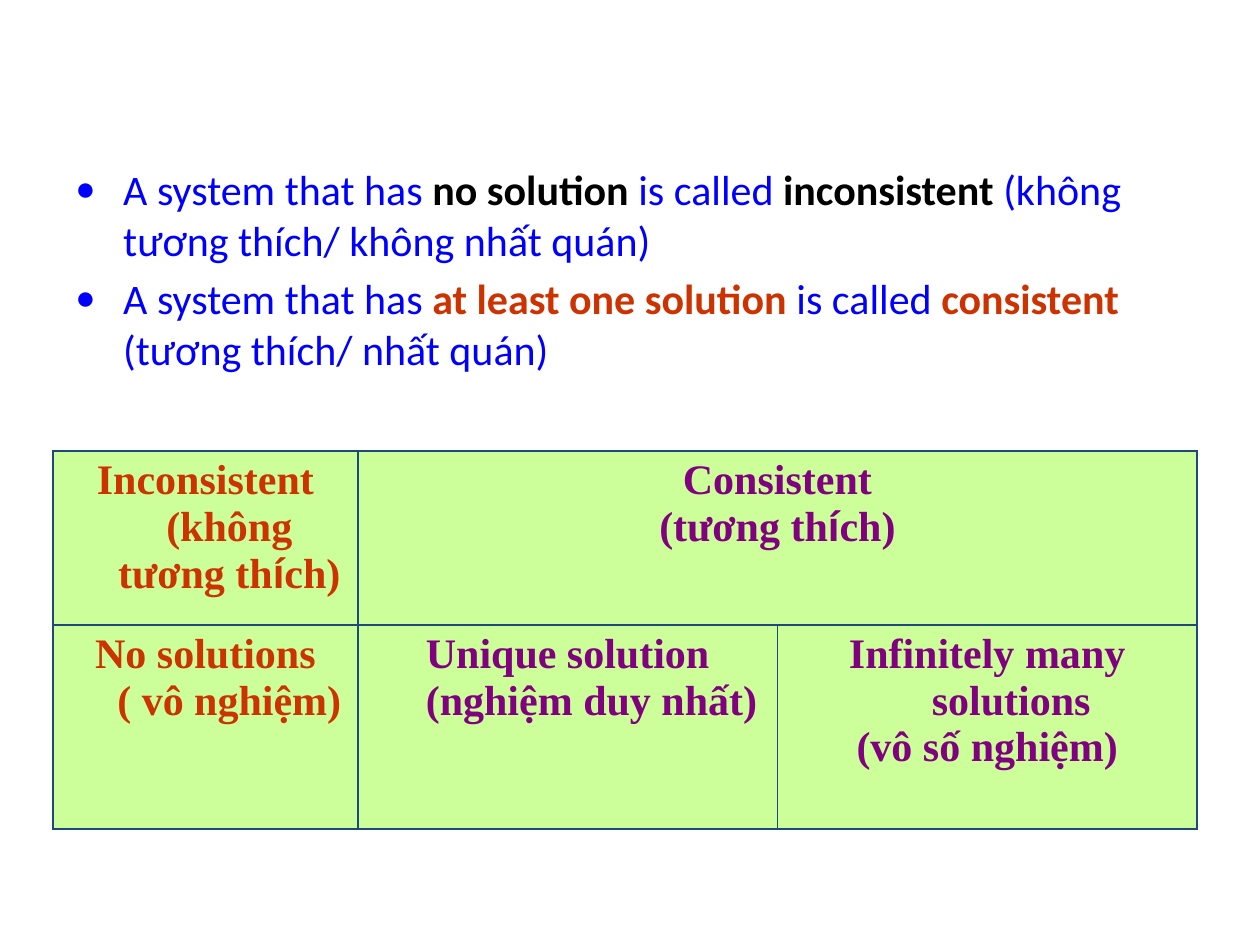
import lxml.etree
import pptx
import pptx.dml.color
import pptx.enum.text
import pptx.oxml.ns
import pptx.util

RGBColor = pptx.dml.color.RGBColor
Inches = pptx.util.Inches
Pt = pptx.util.Pt
qn = pptx.oxml.ns.qn

BLUE = RGBColor(0x00, 0x00, 0xFF)
BLACK = RGBColor(0x00, 0x00, 0x00)
RED = RGBColor(0xCC, 0x33, 0x00)
PURPLE = RGBColor(0x80, 0x00, 0x80)
GREEN = RGBColor(0xCC, 0xFF, 0x99)
NAVY = RGBColor(0x1F, 0x49, 0x7D)

DEFINITIONS = [
    (BLACK, ["A system that has ", "no solution", " is called ", "inconsistent",
             " (không tương thích/ không nhất quán)"]),
    (RED, ["A system that has ", "at least one solution", " is called ", "consistent",
           " (tương thích/ nhất quán)"]),
]
OUTCOMES = [
    [(RED, ["Inconsistent (không tương thích)"]),
     (PURPLE, ["Consistent", "(tương thích)"])],
    [(RED, ["No solutions\v( vô nghiệm)"]),
     (PURPLE, ["Unique solution (nghiệm duy nhất)"]),
     (PURPLE, ["Infinitely many solutions", "(vô số nghiệm)"])],
]
COLUMN_WIDTHS = [2.42, 3.33, 3.33]
ROW_HEIGHTS = [1.38, 1.62]
HANGING = Inches(0.38)


def add_piece(paragraph, text, font_name, color, bold):
    first, *rest = text.split("\v")
    pieces = [first]
    for line in rest:
        pieces += [None, line]
    for piece in pieces:
        if piece is None:
            paragraph.add_line_break()
            continue
        run = paragraph.add_run()
        run.text = piece
        run.font.name = font_name
        run.font.size = Pt(24)
        run.font.bold = bold
        run.font.color.rgb = color


def hang(paragraph):
    properties = paragraph._p.get_or_add_pPr()
    properties.set("marL", str(HANGING))
    properties.set("indent", str(-HANGING))
    return properties


def paragraphs_for(frame, count):
    return [frame.paragraphs[0]] + [frame.add_paragraph() for _ in range(count - 1)]


def add_bullet(properties):
    color = lxml.etree.SubElement(properties, qn("a:buClr"))
    lxml.etree.SubElement(color, qn("a:srgbClr"), val=str(BLUE))
    lxml.etree.SubElement(properties, qn("a:buSzPct"), val="80000")
    lxml.etree.SubElement(properties, qn("a:buFont"), typeface="Arial")
    lxml.etree.SubElement(properties, qn("a:buChar"), char="●")


def add_borders(cell):
    properties = cell._tc.get_or_add_tcPr()
    for index, side in enumerate(("a:lnL", "a:lnR", "a:lnT", "a:lnB")):
        border = lxml.etree.Element(qn(side), w=str(Pt(1)))
        fill = lxml.etree.SubElement(border, qn("a:solidFill"))
        lxml.etree.SubElement(fill, qn("a:srgbClr"), val=str(NAVY))
        properties.insert(index, border)


def add_definitions(slide):
    frame = slide.shapes.add_textbox(
        Inches(0.5), Inches(1.25), Inches(8.83), Inches(2.17)).text_frame
    frame.word_wrap = True
    paragraphs = paragraphs_for(frame, len(DEFINITIONS))
    for paragraph, (accent, pieces) in zip(paragraphs, DEFINITIONS):
        add_bullet(hang(paragraph))
        paragraph.space_before = Pt(4.8)
        for index, piece in enumerate(pieces):
            key_term = index % 2 == 1
            add_piece(paragraph, piece, "Calibri", accent if key_term else BLUE, key_term)


def fill_cell(cell, color, lines):
    for paragraph, line in zip(paragraphs_for(cell.text_frame, len(lines)), lines):
        hang(paragraph)
        paragraph.alignment = pptx.enum.text.PP_ALIGN.CENTER
        before, accented, after = line.partition("í")
        for text, font_name in ((before, "Times New Roman"), (accented, "Arial"),
                                (after, "Times New Roman")):
            if text:
                add_piece(paragraph, text, font_name, color, True)


def add_outcomes(slide):
    table = slide.shapes.add_table(
        len(ROW_HEIGHTS), len(COLUMN_WIDTHS), Inches(0.42), Inches(3.58),
        Inches(sum(COLUMN_WIDTHS)), Inches(sum(ROW_HEIGHTS))).table
    table.first_row = False
    table.horz_banding = False
    for column, width in zip(table.columns, COLUMN_WIDTHS):
        column.width = Inches(width)
    for row, height in zip(table.rows, ROW_HEIGHTS):
        row.height = Inches(height)
    for cell in table.iter_cells():
        cell.fill.solid()
        cell.fill.fore_color.rgb = GREEN
        add_borders(cell)
    table.cell(0, 1).merge(table.cell(0, 2))
    for row, outcomes in enumerate(OUTCOMES):
        for column, (color, lines) in enumerate(outcomes):
            fill_cell(table.cell(row, column), color, lines)


def main():
    deck = pptx.Presentation()
    deck.slide_width = Inches(10)
    deck.slide_height = Inches(7.5)
    slide = deck.slides.add_slide(deck.slide_layouts[6])
    add_definitions(slide)
    add_outcomes(slide)
    deck.save("out.pptx")


if __name__ == "__main__":
    main()
